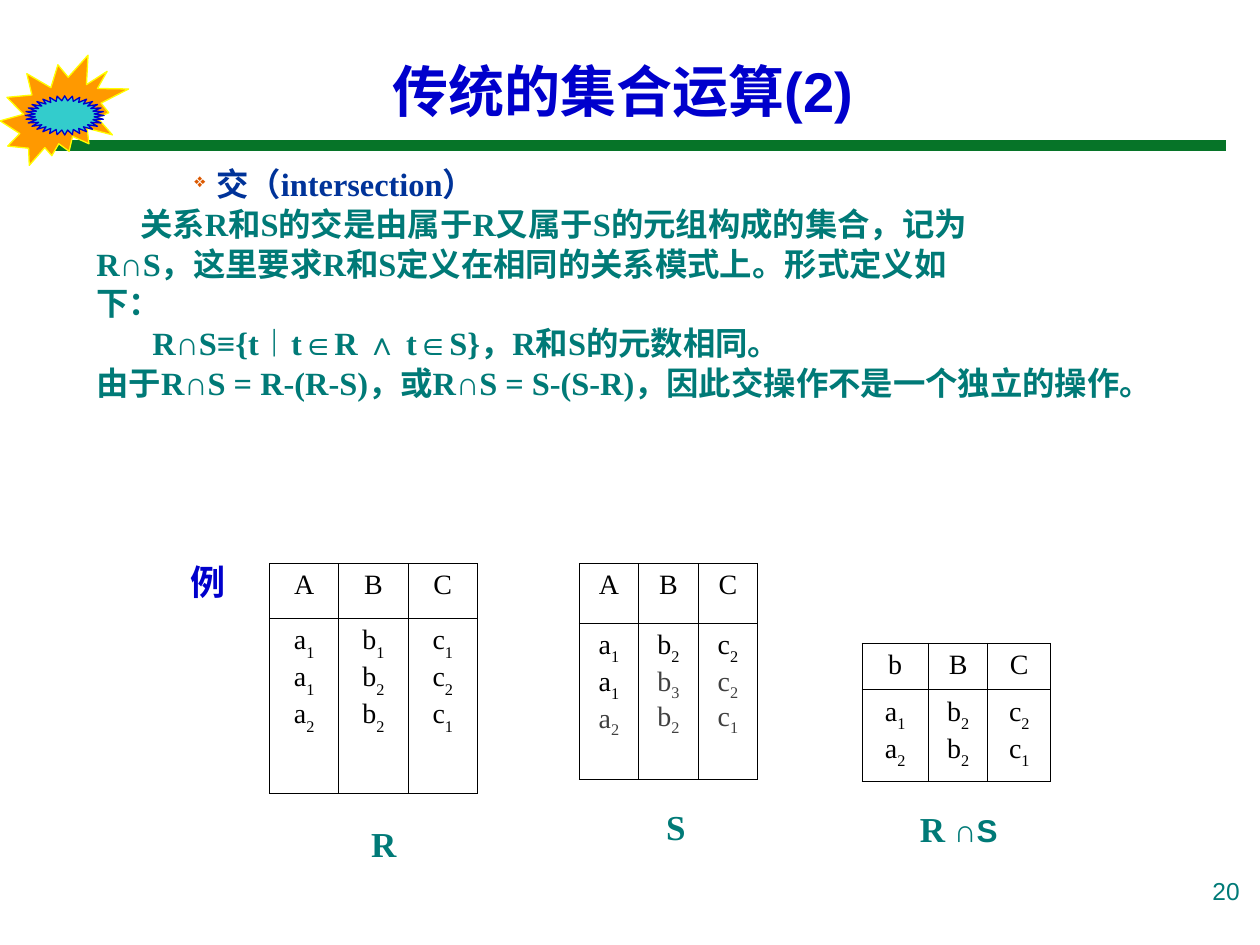
import math
from dataclasses import dataclass

from lxml import etree
from pptx import Presentation
from pptx.dml.color import RGBColor
from pptx.enum import shapes, text
from pptx.oxml import ns
from pptx.util import Pt

COLORS = {
    "rule": "067428", "burst": "FF9900", "burst_line": "FFFF00",
    "star": "33CCCC", "blue": "0000CC", "teal": "007A77",
    "navy": "003399", "bullet": "DC5900", "black": "000000", "gray": "404040",
}
SERIF, SANS = "Times New Roman", "Arial"
ALIGN = text.PP_ALIGN


@dataclass
class Label:
    content: str
    left: float
    top: float
    width: float
    height: float
    size: float
    font: str = SANS
    color: str = "teal"
    bold: bool = True
    align: ALIGN = ALIGN.LEFT
    anchor: text.MSO_ANCHOR = text.MSO_ANCHOR.TOP


@dataclass
class Relation:
    left: float
    top: float
    widths: list[float]
    heights: list[float]
    header: str
    columns: list[str]  # entries such as "a1"; a leading ~ marks gray


@dataclass
class BodyLine:
    content: str
    indent: float = 0
    color: str = "teal"


LABELS = [
    Label("传统的集合运算(2)", 19.5, 20, 672.5, 63.5, 32, color="blue",
          align=ALIGN.CENTER, anchor=text.MSO_ANCHOR.MIDDLE),
    Label("20", 535.5, 497, 180, 37.5, 14, bold=False, align=ALIGN.RIGHT),
    Label("例", 101.5, 317, 39.5, 73, 20, color="blue"),
    Label("R", 205, 466.5, 39.5, 73, 20, SERIF),
    Label("S", 373.5, 457, 39.5, 73, 20, SERIF),
]

BODY = [
    BodyLine("交（intersection）", color="navy"),
    BodyLine("关系R和S的交是由属于R又属于S的元组构成的集合，记为", 25),
    BodyLine("R∩S，这里要求R和S定义在相同的关系模式上。形式定义如"),
    BodyLine("下："),
    BodyLine("R∩S≡{t︱t∈R ∧ t∈S}，R和S的元数相同。", 32),
    BodyLine("由于R∩S = R-(R-S)，或R∩S = S-(S-R)，因此交操作不是一个独立的操作。"),
]

RELATIONS = [
    Relation(154, 322, [39.6] * 3, [31.5, 100], "ABC",
             ["a1 a1 a2", "b1 b2 b2", "c1 c2 c1"]),
    Relation(331, 322, [34] * 3, [34, 89.5], "ABC",
             ["a1 a1 ~a2", "b2 ~b3 ~b2", "c2 ~c2 ~c1"]),
    Relation(492.5, 367.5, [38, 34, 36], [26.7, 51], "bBC",
             ["a1 a2", "b2 b2", "c2 c1"]),
]


def rgb(name: str) -> RGBColor:
    return RGBColor.from_string(COLORS[name])


def set_font(font, name: str, size: float, color: str, bold: bool = False) -> None:
    font.name, font.size, font.bold = name, Pt(size), bold
    font.color.rgb = rgb(color)


def style_shape(shape, fill: str, line: str) -> None:
    shape.shadow.inherit = False
    shape.fill.solid()
    shape.fill.fore_color.rgb = rgb(fill)
    shape.line.color.rgb = rgb(line)
    shape.line.width = Pt(0.75)


def add_frame(slide, left: float, top: float, width: float, height: float):
    frame = slide.shapes.add_textbox(Pt(left), Pt(top), Pt(width), Pt(height)).text_frame
    frame.word_wrap = True
    return frame


def add_label(slide, label: Label) -> None:
    frame = add_frame(slide, label.left, label.top, label.width, label.height)
    frame.vertical_anchor = label.anchor
    paragraph = frame.paragraphs[0]
    paragraph.text = label.content
    paragraph.alignment = label.align
    set_font(paragraph.font, label.font, label.size, label.color, label.bold)


def add_star(slide, center_x: float, center_y: float, radius_x: float,
             radius_y: float, points: int = 32, inner: float = 0.75) -> None:
    corners = []
    for step in range(2 * points):
        angle = math.pi * step / points
        scale = inner if step % 2 else 1
        corners.append((Pt(center_x + scale * radius_x * math.cos(angle)),
                        Pt(center_y + scale * radius_y * math.sin(angle))))
    builder = slide.shapes.build_freeform(*corners[0])
    builder.add_line_segments(corners[1:], close=True)
    style_shape(builder.convert_to_shape(), "star", "blue")


def add_bullet(paragraph, left: float, hanging: float) -> None:
    properties = paragraph._p.get_or_add_pPr()
    properties.set("marL", str(Pt(left)))
    properties.set("indent", str(Pt(-hanging)))
    color = etree.SubElement(properties, ns.qn("a:buClr"))
    etree.SubElement(color, ns.qn("a:srgbClr"), val=COLORS["bullet"])
    etree.SubElement(properties, ns.qn("a:buSzPct"), val="60000")
    etree.SubElement(properties, ns.qn("a:buChar"), char="❖")


def add_body(slide) -> None:
    frame = add_frame(slide, 48, 94.5, 635, 209.5)
    for index, line in enumerate(BODY):
        paragraph = frame.add_paragraph() if index else frame.paragraphs[0]
        paragraph.text = line.content
        if index == 0:
            add_bullet(paragraph, 68.5, 12.5)
        else:
            paragraph.space_before = Pt(5)
            paragraph._p.get_or_add_pPr().set("indent", str(Pt(line.indent)))
        paragraph.alignment = ALIGN.JUSTIFY
        paragraph.line_spacing = 0.8
        set_font(paragraph.font, SERIF, 18.5, line.color, True)


def set_cell_style(cell) -> None:
    cell.fill.background()
    properties = cell._tc.get_or_add_tcPr()
    for position, side in enumerate(("lnL", "lnR", "lnT", "lnB")):
        border = etree.Element(ns.qn(f"a:{side}"), w=str(Pt(0.45)))
        fill = etree.SubElement(border, ns.qn("a:solidFill"))
        etree.SubElement(fill, ns.qn("a:srgbClr"), val=COLORS["black"])
        properties.insert(position, border)


def fill_cell(cell, entries: list[str]) -> None:
    set_cell_style(cell)
    for index, entry in enumerate(entries):
        frame = cell.text_frame
        paragraph = frame.add_paragraph() if index else frame.paragraphs[0]
        paragraph.alignment = ALIGN.CENTER
        set_font(paragraph.font, SERIF, 16, "gray" if entry[0] == "~" else "black")
        letter, subscript = entry.strip("~")[0], entry.strip("~")[1:]
        paragraph.add_run().text = letter
        if subscript:
            run = paragraph.add_run()
            run.text = subscript
            run._r.get_or_add_rPr().set("baseline", "-25000" if entry[0] == "~" else "-30000")


def add_relation(slide, relation: Relation) -> None:
    table = slide.shapes.add_table(
        2, len(relation.widths), Pt(relation.left), Pt(relation.top),
        Pt(sum(relation.widths)), Pt(sum(relation.heights))).table
    table.first_row = table.horz_banding = False
    for row, height in zip(table.rows, relation.heights):
        row.height = Pt(height)
    for index, width in enumerate(relation.widths):
        table.columns[index].width = Pt(width)
        fill_cell(table.cell(0, index), [relation.header[index]])
        fill_cell(table.cell(1, index), relation.columns[index].split())


def main() -> None:
    presentation = Presentation()
    presentation.slide_width, presentation.slide_height = Pt(720), Pt(540)
    slide = presentation.slides.add_slide(presentation.slide_layouts[6])

    # Green rule and starburst ornament
    rule = slide.shapes.add_connector(
        shapes.MSO_CONNECTOR.STRAIGHT, Pt(31), Pt(83), Pt(700.5), Pt(83))
    rule.line.color.rgb = rgb("rule")
    rule.line.width = Pt(6)
    etree.SubElement(rule._element.spPr, ns.qn("a:effectLst"))
    burst = slide.shapes.add_shape(
        shapes.MSO_SHAPE.EXPLOSION2, Pt(0), Pt(31.5), Pt(73.5), Pt(63))
    style_shape(burst, "burst", "burst_line")
    add_star(slide, 37, 66, 22.5, 11.2)

    # Title, page number, captions and body text
    for label in LABELS:
        add_label(slide, label)
    add_body(slide)

    # Example relations
    for relation in RELATIONS:
        add_relation(slide, relation)

    # Caption of the intersection, in two fonts
    paragraph = add_frame(slide, 518.5, 458, 79, 31.5).paragraphs[0]
    for content, name, size in (("R ", SERIF, 20), ("∩S", SANS, 18)):
        run = paragraph.add_run()
        run.text = content
        set_font(run.font, name, size, "teal", True)

    presentation.save("out.pptx")


if __name__ == "__main__":
    main()
